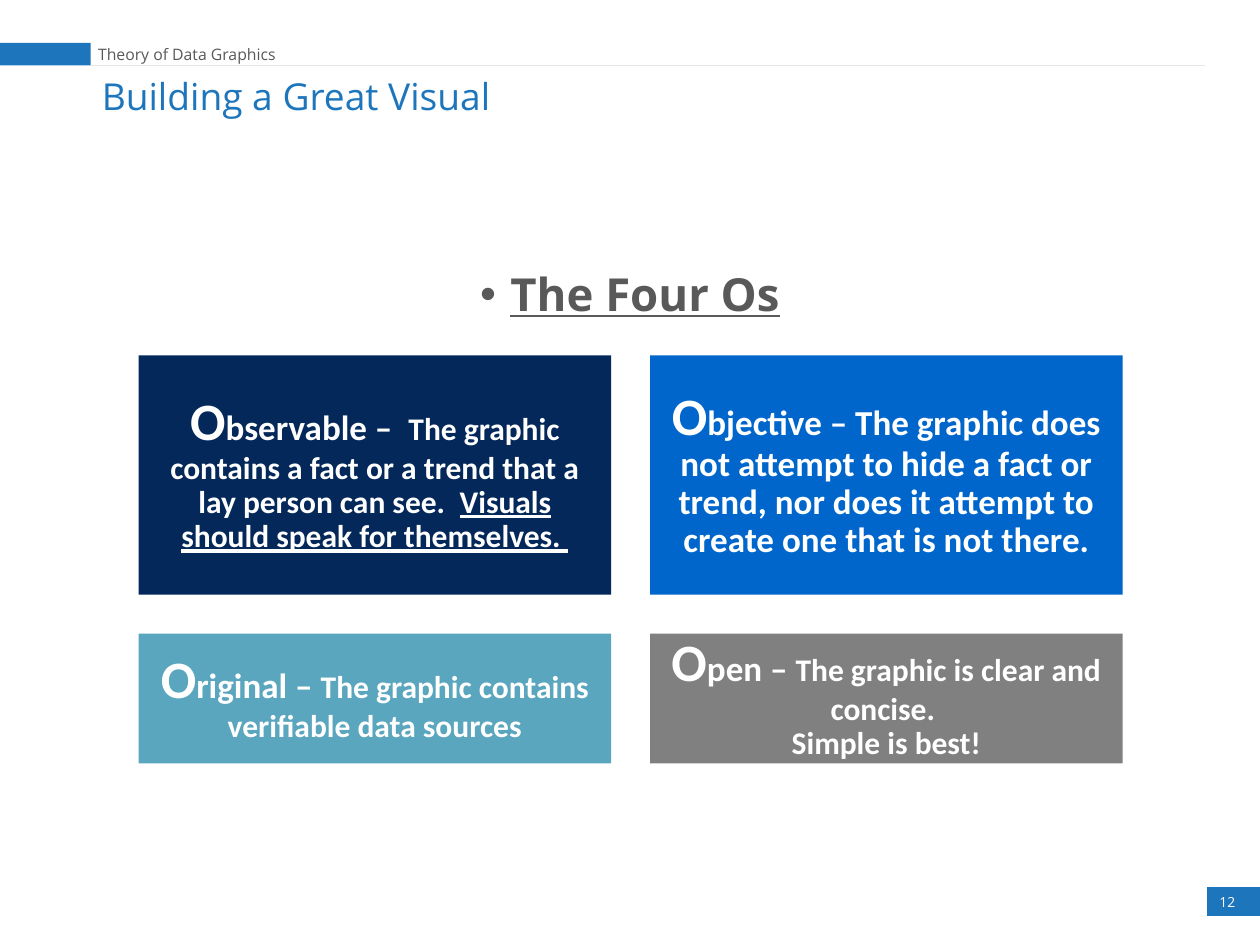
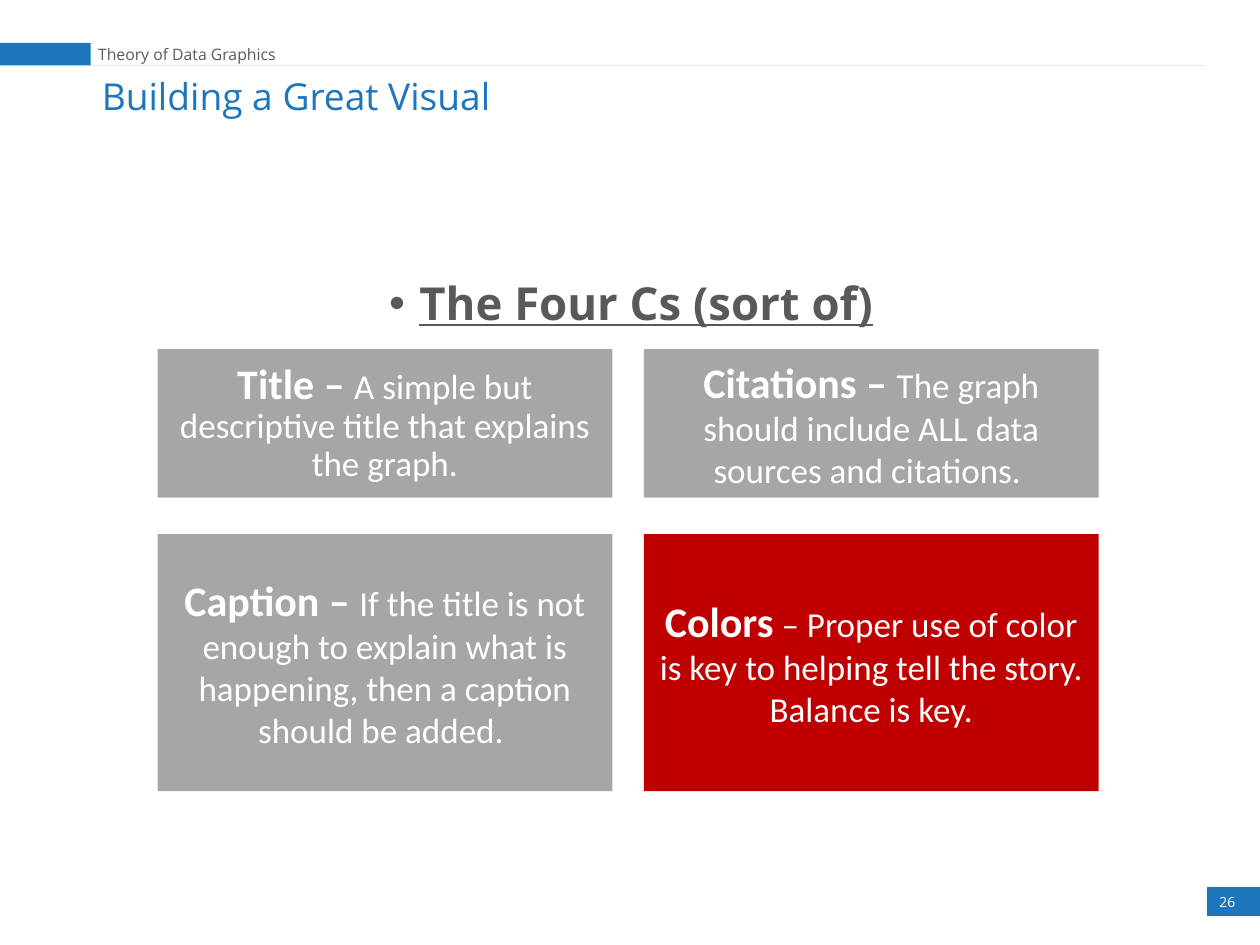
"""Build two slides on what makes a great visual: the four Os and the four Cs."""
from pptx import Presentation
from pptx.dml.color import RGBColor
from pptx.enum.shapes import MSO_CONNECTOR, MSO_SHAPE
from pptx.enum.text import MSO_ANCHOR, PP_ALIGN
from pptx.oxml.ns import qn
from pptx.util import Inches, Pt
from lxml.etree import SubElement

COLORS = {
    "blue": "1D75BC", "rule": "E7E6E6", "text": "595959", "white": "FFFFFF",
    "navy": "032859", "bright": "0066CC", "teal": "5AA6BE", "gray": "808080",
    "light": "A6A6A6", "red": "C00000",
}
FORMATS = {
    "title": {"name": "Open Sans", "size": Pt(21.2)},
    "header": {"name": "Open Sans", "size": Pt(9)},
    "number": {"name": "Open Sans", "size": Pt(7.9)},
    "heading": {"name": "Open Sans", "size": Pt(26), "bold": True, "underline": True},
    "initial": {"name": "Calibri", "size": Pt(30), "bold": True},
    "word": {"name": "Calibri", "size": Pt(20), "bold": True},
    "body": {"name": "Calibri", "size": Pt(18), "bold": True},
    "stress": {"name": "Calibri", "size": Pt(18), "bold": True, "underline": True},
    "lead": {"name": "Calibri", "size": Pt(24), "bold": True},
    "plain": {"name": "Calibri", "size": Pt(20), "bold": False},
}
SLIDES = [
    {
        "number": "12", "heading": "The Four Os", "place": (1.24, 2.11),
        "left": 1.1, "top": 2.82, "width": 3.75, "heights": (1.9, 1.03),
        "gaps": (0.31, 0.31), "inset": 0.12,
        "cards": [
            ("navy", 0.9, [("O", "initial"), ("bservable –  ", "word"),
                           ("The graphic contains a fact or a trend that a lay person can see.  ", "body"),
                           ("Visuals should speak for themselves. ", "stress")]),
            ("bright", 0.9, [("O", "initial"),
                             ("bjective – The graphic does not attempt to hide a fact or trend, "
                              "nor does it attempt to create one that is not there.", "word")]),
            ("teal", 0.9, [("O", "initial"), ("riginal – ", "word"),
                           ("The graphic contains verifiable data sources", "body")]),
            ("gray", 0.9, [("O", "initial"), ("pen – ", "word"),
                           ("The graphic is clear and concise. \nSimple is best!", "body")]),
        ],
    },
    {
        "number": "26", "heading": "The Four Cs (sort of)", "place": (1.25, 2.18),
        "left": 1.25, "top": 2.77, "width": 3.61, "heights": (1.18, 2.04),
        "gaps": (0.25, 0.29), "inset": 0.1,
        "cards": [
            ("light", 0.9, [("Title – ", "lead"),
                            ("A simple but descriptive title that explains the graph.", "plain")]),
            ("light", 1.0, [("Citations – ", "lead"),
                            ("The graph should include ALL data sources and citations. ", "plain")]),
            ("light", 1.0, [("Caption – ", "lead"),
                            ("If the title is not enough to explain what is happening, "
                             "then a caption should be added. ", "plain")]),
            ("red", 1.0, [("Colors", "lead"),
                          (" – Proper use of color is key to helping tell the story. "
                           "Balance is key.", "plain")]),
        ],
    },
]


def add_box(slide, place, fill=None):
    """Add a filled rectangle, or a text box when there is no fill."""
    spot = [Inches(value) for value in place]
    if fill:
        box = slide.shapes.add_shape(MSO_SHAPE.RECTANGLE, *spot)
        box.shadow.inherit = False
        box.fill.solid()
        box.fill.fore_color.rgb = RGBColor.from_string(COLORS[fill])
        box.line.fill.background()
    else:
        box = slide.shapes.add_textbox(*spot)
    box.text_frame.word_wrap = True
    return box


def write(box, runs, color, align=PP_ALIGN.LEFT, spacing=0.9):
    """Write formatted runs into the first paragraph of a box."""
    par = box.text_frame.paragraphs[0]
    par.alignment = align
    par.line_spacing = spacing
    for text, style in runs:
        for index, line in enumerate(text.split("\n")):
            if index:
                par.add_line_break()
            run = par.add_run()
            run.text = line
            run.font.color.rgb = RGBColor.from_string(COLORS[color])
            for key, value in FORMATS[style].items():
                setattr(run.font, key, value)
    return par


deck = Presentation()
deck.slide_width, deck.slide_height = Inches(10), Inches(7.5)

for data in SLIDES:
    slide = deck.slides.add_slide(deck.slide_layouts[6])

    badge = add_box(slide, (9.58, 7.04, 0.42, 0.23), "blue")
    badge.text_frame.margin_top = badge.text_frame.margin_bottom = 0
    badge.text_frame.vertical_anchor = MSO_ANCHOR.MIDDLE
    write(badge, [(data["number"], "number")], "white", spacing=1.0)

    rule = slide.shapes.add_connector(
        MSO_CONNECTOR.STRAIGHT, Inches(0.72), Inches(0.52), Inches(9.56), Inches(0.52))
    rule.line.color.rgb = RGBColor.from_string(COLORS["rule"])
    rule.line.width = Pt(0.5)
    SubElement(rule._element.spPr, qn("a:effectLst"))

    add_box(slide, (0, 0.34, 0.72, 0.18), "blue")
    title = add_box(slide, (0.71, 0.57, 4.21, 0.38))
    write(title, [("Building a Great Visual", "title")], "blue")
    header = add_box(slide, (0.68, 0.32, 2.65, 0.18))
    write(header, [("Theory of Data Graphics", "header")], "text")

    heading = add_box(slide, (*data["place"], 7.52, 4))
    par = write(heading, [(data["heading"], "heading")], "text", PP_ALIGN.CENTER)
    props = par._p.get_or_add_pPr()
    props.set("marL", str(Inches(0.24)))
    props.set("indent", str(Inches(-0.24)))
    SubElement(props, qn("a:buFont"), typeface="Arial")
    SubElement(props, qn("a:buChar"), char="•")

    across, down = data["gaps"]
    for index, (fill, spacing, runs) in enumerate(data["cards"]):
        row, col = divmod(index, 2)
        left = data["left"] + col * (data["width"] + across)
        top = data["top"] + row * (data["heights"][0] + down)
        card = add_box(slide, (left, top, data["width"], data["heights"][row]), fill)
        frame = card.text_frame
        frame.vertical_anchor = MSO_ANCHOR.MIDDLE
        for side in ("left", "top", "right", "bottom"):
            setattr(frame, f"margin_{side}", Inches(data["inset"]))
        write(card, runs, "white", PP_ALIGN.CENTER, spacing)

deck.save("out.pptx")
